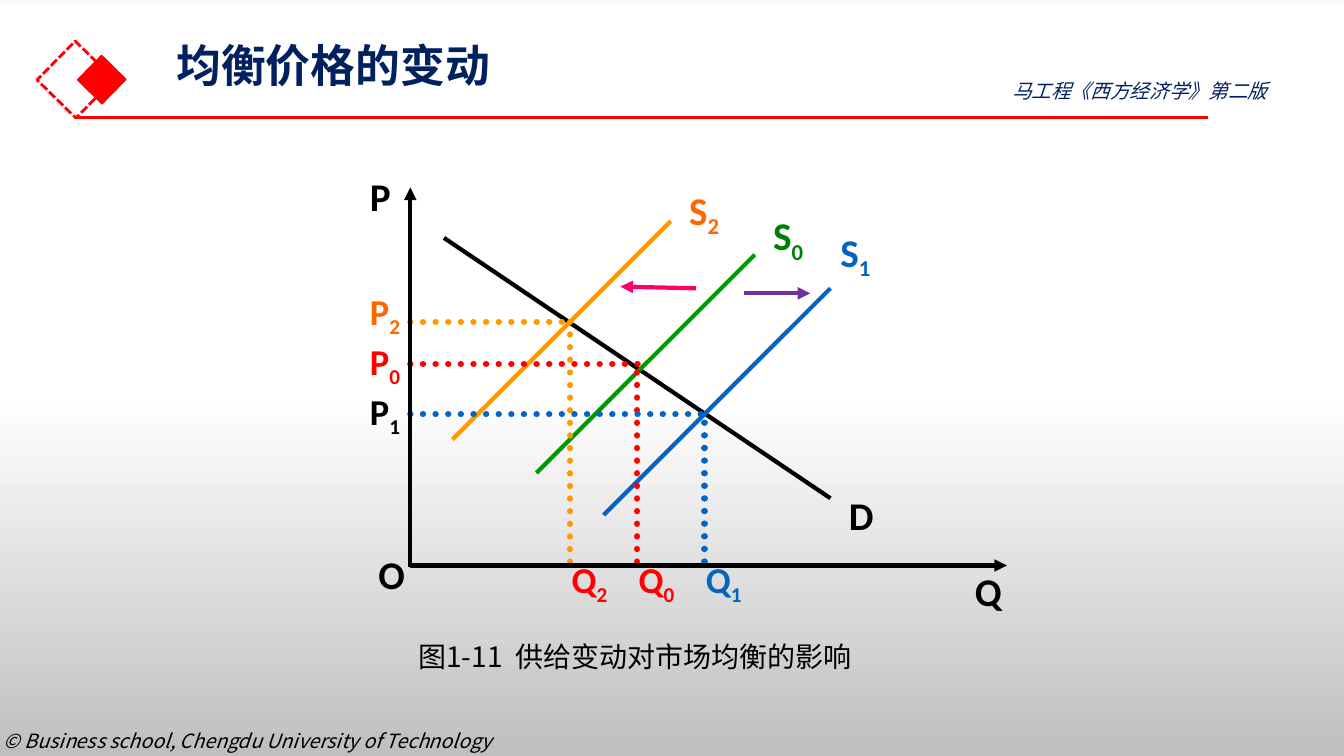
from lxml import etree
from pptx import Presentation
from pptx.dml.color import RGBColor
from pptx.enum.dml import MSO_LINE
from pptx.enum.shapes import MSO_CONNECTOR, MSO_SHAPE
from pptx.enum.text import MSO_ANCHOR, MSO_AUTO_SIZE
from pptx.oxml.ns import qn
from pptx.util import Inches, Pt

CJK, LATIN = "Noto Sans CJK SC", "Calibri"
BLACK, RED, NAVY = "000000", "FF0000", "002060"
BLUE, ORANGE, AMBER = "0563C1", "FF6600", "FF9900"

# Diagram grid: twelve units to the inch, counted right and up from O
UNIT = 1 / 12
ORIGIN_X, ORIGIN_Y = 4.07, 5.61
LABEL_SIZE = 4 * UNIT


def color(hex_code):
    return RGBColor.from_string(hex_code)


def grid(column, row):
    return ORIGIN_X + column * UNIT, ORIGIN_Y - row * UNIT


def set_background(slide, stops):
    fill = slide.background.fill
    fill.gradient()
    fill.gradient_angle = 270
    stop_list = slide.background._cSld.find(".//" + qn("a:gsLst"))
    for stop in list(stop_list):
        stop_list.remove(stop)
    for percent, hex_code in stops:
        stop = etree.SubElement(stop_list, qn("a:gs"), pos=str(percent * 1000))
        etree.SubElement(stop, qn("a:srgbClr"), val=hex_code)


def add_line(slide, start, end, hex_code, width=3, dotted=False, arrow=False):
    points = [Inches(value) for value in (*start, *end)]
    line = slide.shapes.add_connector(MSO_CONNECTOR.STRAIGHT, *points)
    line.line.color.rgb = color(hex_code)
    line.line.width = Pt(width)
    properties = line._element.spPr
    outline = properties.find(qn("a:ln"))
    if dotted:
        line.line.dash_style = MSO_LINE.ROUND_DOT
        outline.set("cap", "rnd")
    if arrow:
        etree.SubElement(outline, qn("a:tailEnd"), type="triangle")
    etree.SubElement(properties, qn("a:effectLst"))


def add_diamond(slide, left, top, side, width, filled):
    shape = slide.shapes.add_shape(
        MSO_SHAPE.RECTANGLE, Inches(left), Inches(top), Inches(side), Inches(side))
    shape.rotation = 314.5
    shape.shadow.inherit = False
    shape.line.color.rgb = color(RED)
    shape.line.width = Pt(width)
    if filled:
        shape.fill.solid()
        shape.fill.fore_color.rgb = color(RED)
    else:
        shape.fill.background()
        shape.line.dash_style = MSO_LINE.SQUARE_DOT


def add_text(slide, box, text, size, hex_code, font=CJK, bold=False, italic=False,
             wrap=True, middle=False, grow=True, spacing=None, subscript=""):
    shape = slide.shapes.add_textbox(*[Inches(value) for value in box])
    frame = shape.text_frame
    frame.word_wrap = wrap
    frame.auto_size = MSO_AUTO_SIZE.SHAPE_TO_FIT_TEXT if grow else MSO_AUTO_SIZE.NONE
    frame.vertical_anchor = MSO_ANCHOR.MIDDLE if middle else MSO_ANCHOR.TOP
    paragraph = frame.paragraphs[0]
    paragraph.add_run().text = text
    if subscript:
        run = paragraph.add_run()
        run.text = subscript
        run.font._element.set("baseline", "-25000")
    if spacing:
        paragraph.line_spacing = spacing
    style = paragraph.font
    style.name, style.size = font, Pt(size)
    style.bold, style.italic = bold, italic
    style.color.rgb = color(hex_code)
    etree.SubElement(style._element, qn("a:ea"), typeface=font)


def add_label(slide, text, column, row, hex_code=BLACK, size=28):
    add_text(slide, (*grid(column, row), LABEL_SIZE, LABEL_SIZE), text[0], size,
             hex_code, LATIN, bold=True, wrap=False, middle=True, grow=False,
             subscript=text[1:])


def add_curve(slide, start, end, hex_code, label, label_at, label_color):
    add_line(slide, grid(*start), grid(*end), hex_code)
    add_label(slide, label, *label_at, label_color)


def add_equilibrium(slide, number, price, quantity, reach, drop, foot,
                    hex_code, price_label, quantity_label):
    """Dotted guides from the axes; each label is a (row, colour) or a colour."""
    label_row, price_color = price_label
    add_label(slide, "P" + number, -6, label_row, price_color, 26)
    add_line(slide, grid(0, price), grid(reach, price), hex_code, 4.5, dotted=True)
    add_line(slide, grid(quantity, drop), grid(quantity, foot), hex_code, 4.5,
             dotted=True)
    add_label(slide, "Q" + number, quantity - 1, 0, quantity_label, 26)


def add_header(slide):
    add_diamond(slide, 0.48, 0.52, 0.54, 2, filled=False)
    add_diamond(slide, 0.84, 0.62, 0.34, 1, filled=True)
    add_line(slide, (0.75, 1.17), (11.98, 1.17), RED, 2.25)
    add_text(slide, (1.65, 0.33, 11.5, 0.68), "均衡价格的变动", 32, NAVY,
             bold=True, middle=True, spacing=0.9)
    add_text(slide, (9.94, 0.73, 3.24, 0.34), "马工程《西方经济学》第二版", 14,
             NAVY, italic=True)


def add_diagram(slide):
    # Demand and the three supply curves
    add_curve(slide, (4, 39), (50, 8), BLACK, "D", (51, 8), BLACK)
    add_curve(slide, (15, 11), (41, 37), "009900", "S0", (42, 41), "008000")
    add_curve(slide, (23, 6), (50, 33), BLUE, "S1", (50, 39), BLUE)
    add_curve(slide, (5, 15), (31, 41), AMBER, "S2", (32, 44), ORANGE)

    # Equilibrium prices and quantities
    add_equilibrium(slide, "0", 24, 27, 28, 23, 0, RED, (26, RED), RED)
    add_equilibrium(slide, "2", 29, 19, 19, 29, 0, AMBER, (32, ORANGE), RED)
    add_equilibrium(slide, "1", 18, 35, 35, 17, -1, BLUE, (20, BLACK), BLUE)

    # Axes
    add_line(slide, grid(0, -0.2), grid(0, 45), BLACK, arrow=True)
    add_line(slide, grid(0, 0), grid(71, 0), BLACK, arrow=True)
    for name, column, row in (("P", -6, 46), ("O", -5, 1), ("Q", 66, -1)):
        add_label(slide, name, column, row)

    # Directions in which supply shifts
    add_line(slide, grid(39.7, 32.4), grid(47.6, 32.4), "7030A0", arrow=True)
    add_line(slide, grid(34, 33), grid(25, 33.2), "FF0066", arrow=True)


def main():
    presentation = Presentation()
    presentation.slide_width, presentation.slide_height = Inches(13.33), Inches(7.5)
    slide = presentation.slides.add_slide(presentation.slide_layouts[6])
    set_background(slide, [(0, "F9F9F9"), (1, "FFFFFF"), (52, "FFFFFF"),
                           (100, "BFBFBF")])
    add_text(slide, (-0.06, 7.18, 5.31, 0.34),
             "© Business school, Chengdu University of Technology", 14, BLACK,
             italic=True, wrap=False)
    add_header(slide)
    add_diagram(slide)
    add_text(slide, (4.05, 6.13, 4.63, 0.55), "图1-11  供给变动对市场均衡的影响",
             20, BLACK, spacing=1.5)
    presentation.save("out.pptx")


if __name__ == "__main__":
    main()
